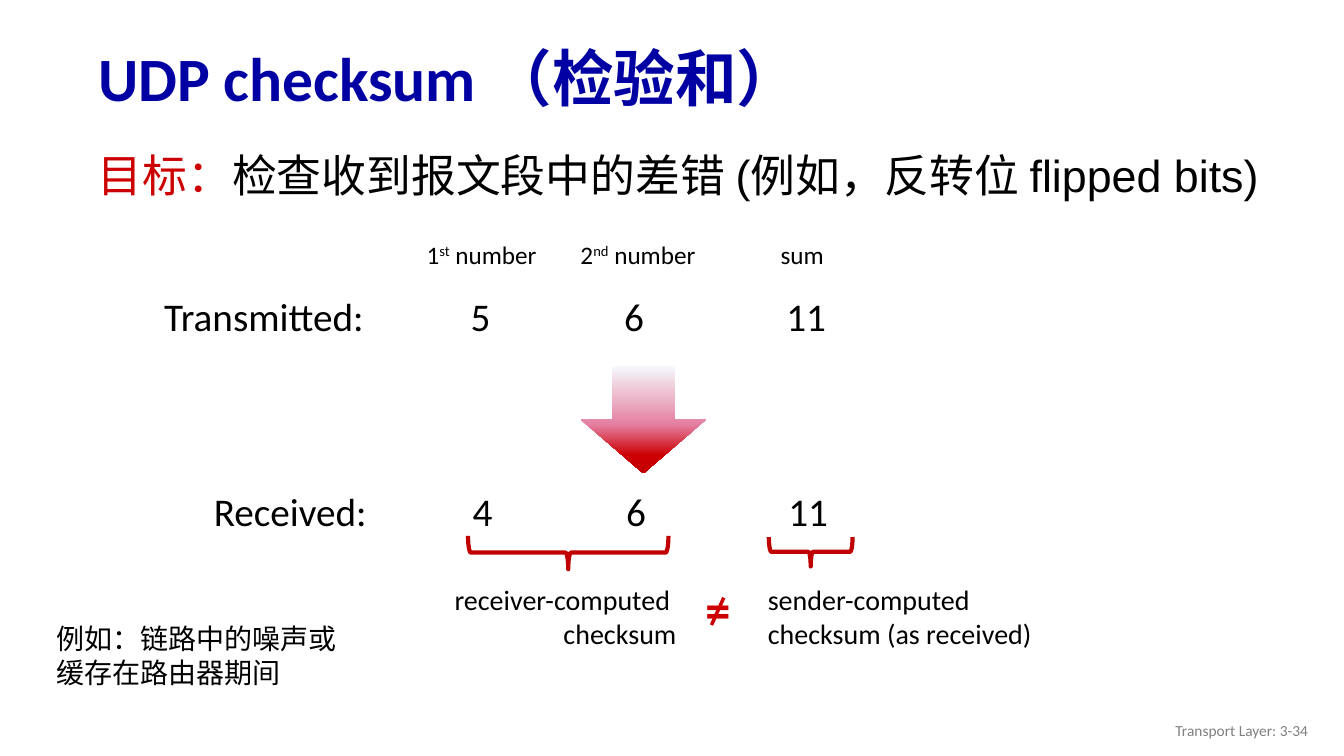
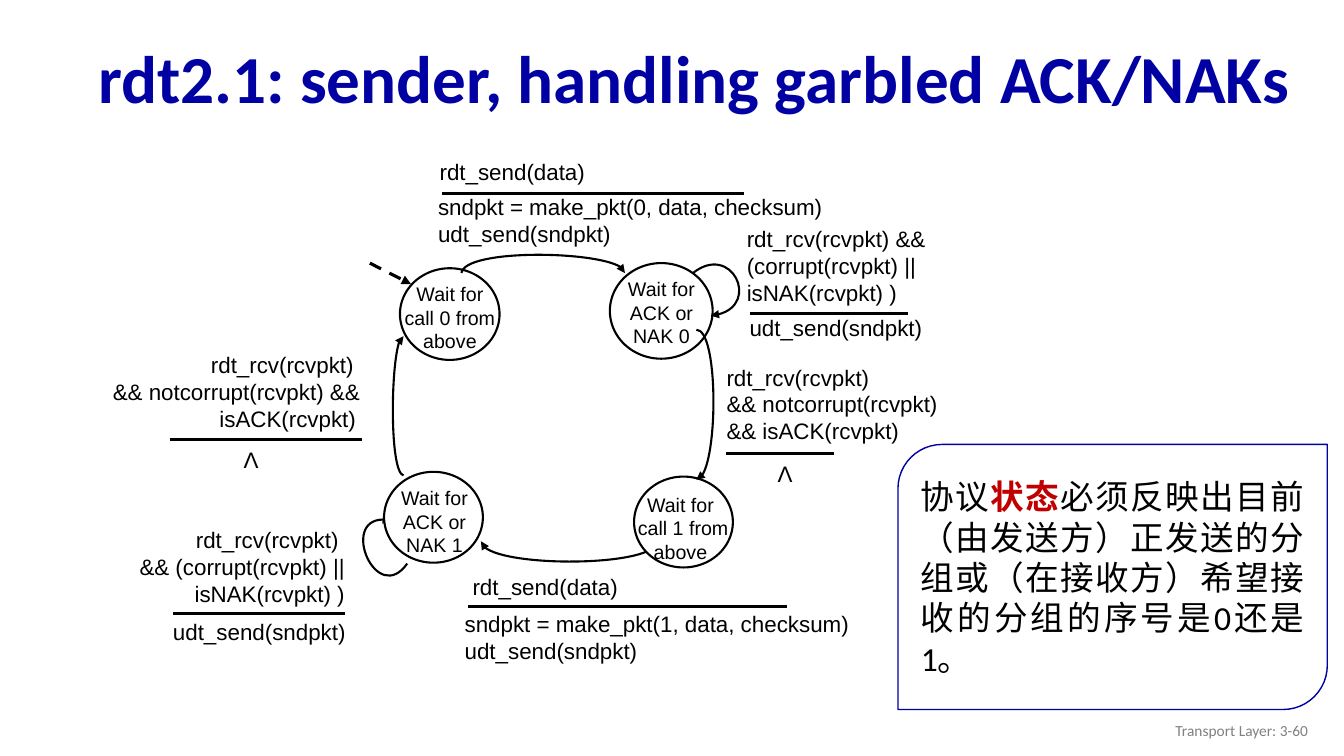
from lxml import etree
from pptx import Presentation
from pptx.dml.color import RGBColor
from pptx.enum import dml, shapes, text
from pptx.oxml.ns import qn
from pptx.util import Cm, Pt

INK = {"black": "000000", "navy": "0000A3", "red": "CC0000", "brick": "C00000",
       "scarlet": "CD0004", "grey": "808080", "white": "FFFFFF",
       "mist": "F6F8FC", "pink": "E47E9F"}
SANS, BODY = "Arial", "Calibri"
LEFT, MID, RIGHT = text.PP_ALIGN.LEFT, text.PP_ALIGN.CENTER, text.PP_ALIGN.RIGHT
FORM = shapes.MSO_SHAPE
COLS = (8.22, 12.09, 16.43)  # centres of the numbers, from the left of the first row


def rgb(name):
    return RGBColor.from_string(INK[name])


def write(frame, paras, size, font=BODY, ink="black", align=LEFT, bold=False,
          space=None):
    """Fill a frame; a paragraph is a string or a list of (text, style) runs."""
    for i, para in enumerate(paras):
        par = frame.paragraphs[0] if i == 0 else frame.add_paragraph()
        par.alignment = align
        if space:
            par.line_spacing = space
        if isinstance(para, str):
            par.text = para
            styles = [{}]
        else:
            for part, _ in para:
                par.add_run().text = part
            styles = [style for _, style in para]
        for run, style in zip(par.runs, styles):
            run.font.name, run.font.size = font, Pt(style.get("size", size))
            run.font.bold = style.get("bold", bold)
            run.font.color.rgb = rgb(style.get("ink", ink))
            if "base" in style:
                run._r.get_or_add_rPr().set("baseline", str(style["base"]))


def label(slide, x, y, w, h, paras, size, wrap=True, **style):
    box = slide.shapes.add_textbox(Cm(x), Cm(y), Cm(w), Cm(h))
    box.text_frame.word_wrap = wrap
    write(box.text_frame, paras, size, **style)
    return box


def shape(slide, kind, x, y, w, h, fill=None, line=None, width=1.5):
    item = slide.shapes.add_shape(kind, Cm(x), Cm(y), Cm(w), Cm(h))
    item.shadow.inherit = False
    if fill:
        item.fill.solid()
        item.fill.fore_color.rgb = rgb(fill)
    else:
        item.fill.background()
    if line:
        item.line.color.rgb = rgb(line)
        item.line.width = Pt(width)
    else:
        item.line.fill.background()
    return item


def tip(item):
    """Put an arrowhead at the end of a line."""
    etree.SubElement(item.line._get_or_add_ln(), qn("a:tailEnd"), type="triangle")


def rule(slide, x1, y1, x2, y2, ink="black", width=2.25):
    line = slide.shapes.add_connector(
        shapes.MSO_CONNECTOR.STRAIGHT, Cm(x1), Cm(y1), Cm(x2), Cm(y2))
    line.line.color.rgb = rgb(ink)
    line.line.width = Pt(width)
    etree.SubElement(line._element.spPr, qn("a:effectLst"))
    return line


def curve(slide, knots, turn=0):
    """Draw a cubic Bezier arrow with four control points, then rotate it."""
    dots = [(Cm(x), Cm(y)) for x, y in knots]
    pen = slide.shapes.build_freeform(*dots[0])
    pen.add_line_segments(dots[1:], close=False)
    arc = pen.convert_to_shape()
    sides = list(arc._element.iter(qn("a:lnTo")))
    bend = etree.SubElement(sides[0].getparent(), qn("a:cubicBezTo"))
    for side in sides:
        bend.append(side[0])
        side.getparent().remove(side)
    arc.rotation = turn
    arc.shadow.inherit = False
    arc.fill.background()
    arc.line.color.rgb = rgb("black")
    arc.line.width = Pt(1.5)
    tip(arc)


def page(deck, title, size, number):
    """Add a slide with its title and footer."""
    slide = deck.slides.add_slide(deck.slide_layouts[5])
    head = slide.shapes.title
    head.left, head.top, head.width, head.height = map(Cm, (2.22, 0.81, 30.84, 2.48))
    frame = head.text_frame
    frame.auto_size = text.MSO_AUTO_SIZE.NONE
    frame.vertical_anchor = text.MSO_ANCHOR.MIDDLE
    write(frame, [title], size, ink="navy", bold=True, space=0.9)
    foot = label(slide, 25.6, 17.9, 7.62, 1.02, [f"Transport Layer: 3-{number}"],
                 11, ink="grey", align=RIGHT)
    foot.text_frame.vertical_anchor = text.MSO_ANCHOR.MIDDLE
    return slide


def row(slide, x, y, cells, shift=0):
    """Write a row name and its numbers, centred on the columns by tabs."""
    box = label(slide, x, y, 28.45, 1.6, ["\t".join(cells)], 28, space=0.9)
    props = box.text_frame.paragraphs[0]._p.get_or_add_pPr()
    tabs = etree.SubElement(props, qn("a:tabLst"))
    for col in COLS:
        etree.SubElement(tabs, qn("a:tab"), pos=str(Cm(col - 0.25 - shift)),
                         algn="ctr")


def fade(item, stops):
    """Fill a shape from top to bottom with (percent, colour) stops."""
    item.fill.gradient()
    item.fill.gradient_angle = 270
    ramp = item._element.spPr.find(qn("a:gradFill")).find(qn("a:gsLst"))
    for old in list(ramp):
        ramp.remove(old)
    for pos, name in stops:
        stop = etree.SubElement(ramp, qn("a:gs"), pos=str(pos * 1000))
        etree.SubElement(stop, qn("a:srgbClr"), val=INK[name])


def state(slide, disc, spot, lines):
    shape(slide, FORM.OVAL, *disc, "white", "black")
    label(slide, *spot, lines, 14, font=SANS, align=MID)


def move(slide, event, bar, action, knots, turn=0, align=LEFT):
    """Draw a transition: event above a bar, action below it, and the arrow."""
    label(slide, *event, 16, font=SANS, align=align)
    x1, x2, level = bar
    rule(slide, x1, level, x2, level)
    label(slide, *action, 16, font=SANS)
    curve(slide, knots, turn)


def checksum(deck):
    slide = page(deck, "UDP checksum （检验和）", 44, 34)
    label(slide, 2.21, 3.81, 30.84, 2.36,
          [[("目标：", {"ink": "red"}),
            ("检查收到报文段中的差错 (例如，反转位 flipped bits)", {})]],
          32, font=SANS, space=0.85)

    for x, w, digit, order in ((10.5, 3.35, "1", "st"), (14.38, 3.5, "2", "nd")):
        label(slide, x, 5.9, w, 1.02,
              [[(digit, {}), (order, {"base": 30000}), (" number", {})]],
              18, wrap=False)
    label(slide, 19.28, 5.9, 1.75, 1.02, [" sum"], 18, wrap=False)
    row(slide, 3.89, 7.37, ("Transmitted:", "5", "6", "11"))
    row(slide, 5.14, 12.3, ("Received:", "4", "6", "11"), 1.2)

    arrow = shape(slide, FORM.DOWN_ARROW, 14.64, 9.22, 3.15, 2.71)
    fade(arrow, ((0, "mist"), (55, "pink"), (83, "scarlet"), (100, "brick")))

    for spot in ((13.9, 11.4, 0.84, 5.05), (20.06, 12.85, 0.74, 2.11)):
        brace = shape(slide, FORM.RIGHT_BRACE, *spot, line="brick", width=3)
        brace.rotation = 90
    label(slide, 11.13, 14.56, 6.17, 1.96, ["receiver-computed ", "checksum"], 20,
          wrap=False, align=RIGHT)
    label(slide, 19.1, 14.56, 7.24, 1.96,
          ["sender-computed", "checksum (as received)"], 20, wrap=False)
    label(slide, 17.53, 14.45, 1.14, 1.8, ["="], 36, wrap=False,
          ink="scarlet", bold=True)
    rule(slide, 18.24, 15.06, 17.93, 15.75, "scarlet", 2.5)
    label(slide, 1.17, 15.54, 8.13, 1.96, ["例如：链路中的噪声或缓存在路由器期间"], 20)


def sender(deck):
    slide = page(deck, "rdt2.1: sender, handling garbled ACK/NAKs", 48, 60)
    state(slide, (10.08, 6.76, 2.51, 2.31), (9.83, 6.99, 3.02, 1.7),
          ["Wait for call 0 from above"])
    start = rule(slide, 9.32, 6.63, 10.36, 7.16)
    start.line.dash_style = dml.MSO_LINE.DASH
    tip(start)
    state(slide, (15.37, 6.63, 2.59, 2.41), (15.16, 6.86, 3.02, 1.8),
          ["Wait for ACK or NAK 0"])

    move(slide, (10.83, 3.87, 5.87, 0.84, ["rdt_send(data)"]), (11.15, 18.75, 4.88),
         (10.79, 4.75, 10.26, 1.12,
          ["sndpkt = make_pkt(0, data, checksum)", "udt_send(sndpkt)"]),
         ((11.63, 6.88), (11.71, 6.27), (15.75, 6.32), (15.75, 6.88)))
    move(slide, (18.57, 5.56, 8.84, 1.57,
                 ["rdt_rcv(rcvpkt) && (corrupt(rcvpkt) ||", "isNAK(rcvpkt) )"]),
         (18.9, 22.89, 7.9), (18.64, 7.8, 6.27, 1.12, ["udt_send(sndpkt)"]),
         ((17.64, 6.59), (18.85, 6.24), (18.94, 8.15), (17.65, 7.75)), 337.4)
    move(slide, (11.66, 14.33, 6.63, 0.79, ["rdt_send(data)"]),
         (11.79, 19.84, 15.29),
         (11.46, 15.25, 10.46, 1.12,
          ["sndpkt = make_pkt(1, data, checksum)", "udt_send(sndpkt)"]),
         ((16.56, 13.64), (16.56, 14.27), (12.19, 14.33), (12.12, 13.64)))
    move(slide, (2.31, 13.13, 6.63, 1.57,
                 ["rdt_rcv(rcvpkt) ", "&& (corrupt(rcvpkt) ||", "isNAK(rcvpkt) )"]),
         (4.37, 8.69, 15.47), (4.11, 15.46, 5.05, 0.76, ["udt_send(sndpkt)"]),
         ((8.79, 14.35), (8.16, 13.17), (10.8, 13.33), (9.95, 14.47)), 243.5, RIGHT)

    # These two states cover the ends of the arrows drawn so far.
    state(slide, (15.98, 12.01, 2.49, 2.29), (15.6, 12.29, 3.1, 1.7),
          ["Wait for", " call 1 from above"])
    state(slide, (9.68, 11.89, 2.49, 2.29), (9.5, 12.12, 2.9, 1.7),
          ["Wait for ACK or NAK 1"])
    move(slide, (18.06, 9.04, 8.33, 1.57,
                 ["rdt_rcv(rcvpkt)", "&& notcorrupt(rcvpkt)", "&& isACK(rcvpkt)"]),
         (18.29, 21.03, 11.43), (19.35, 11.46, 0.89, 0.94, ["Λ"]),
         ((15.94, 10.48), (15.94, 9.94), (19.65, 9.92), (19.72, 10.48)), 90)
    move(slide, (-0.74, 8.72, 10.06, 1.57,
                 ["rdt_rcv(rcvpkt) ",
                  [("&& notcorrupt(rcvpkt) && isACK(rcvpkt)", {}),
                   (" ", {"size": 10})]]),
         (4.29, 9.12, 11.07), (5.89, 11.11, 0.89, 0.94, ["Λ"]),
         ((8.24, 10.4), (8.32, 10.05), (11.75, 10.07), (11.75, 10.4)), 270, RIGHT)

    note = shape(slide, FORM.ROUND_2_DIAG_RECTANGLE, 22.63, 11.2, 10.82, 6.68,
                 "white", "navy", 1)
    note.text_frame.word_wrap = True
    note.text_frame.vertical_anchor = text.MSO_ANCHOR.MIDDLE
    write(note.text_frame,
          [[("协议", {}), ("状态", {"ink": "brick", "bold": True}),
            ("必须反映出目前（由发送方）正发送的分组或（在接收方）希望接收的分组的序号是0还是1。", {})]],
          24, align=text.PP_ALIGN.JUSTIFY)


def main():
    deck = Presentation()
    deck.slide_width, deck.slide_height = Cm(33.87), Cm(19.05)
    checksum(deck)
    sender(deck)
    deck.save("out.pptx")


if __name__ == "__main__":
    main()
